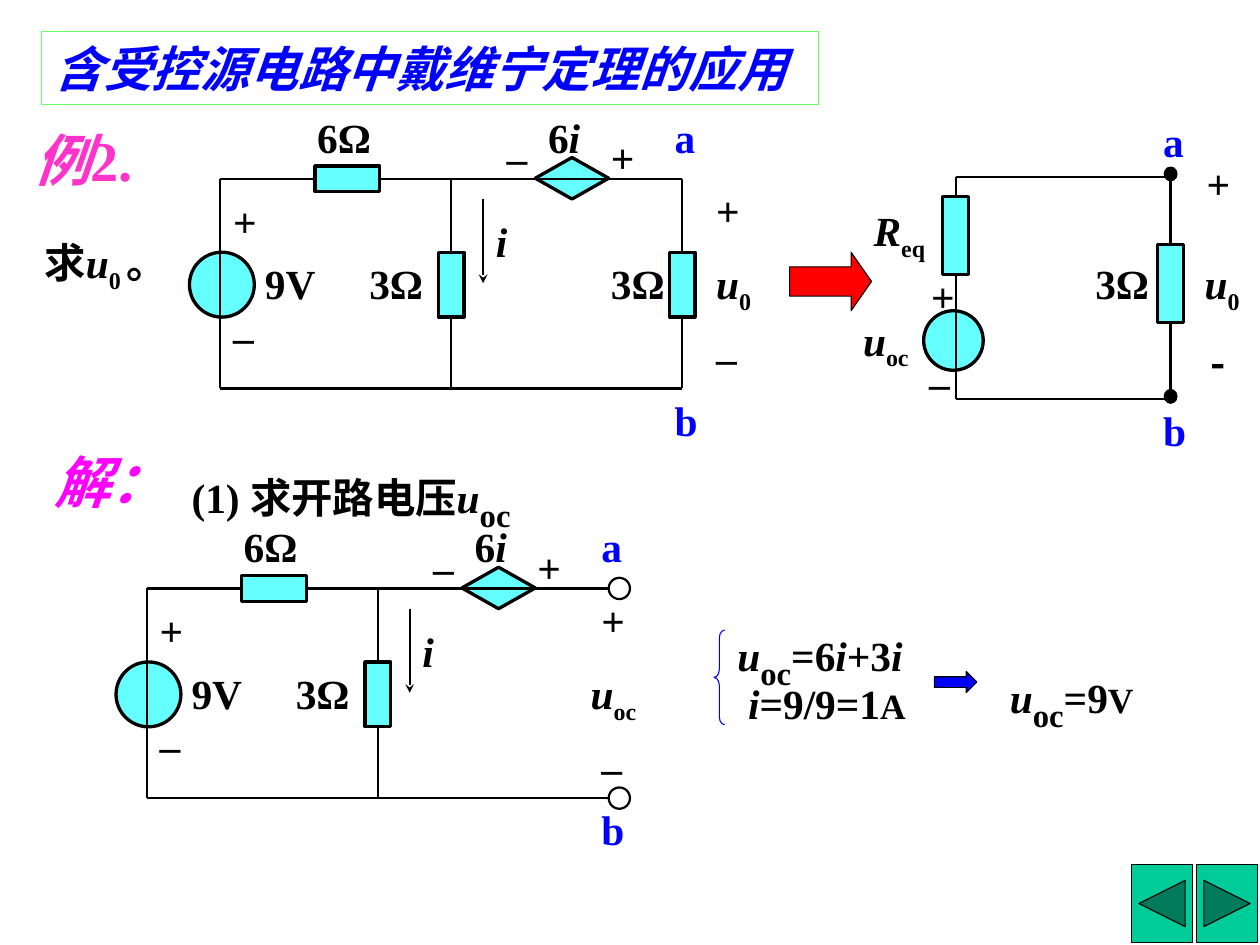
"""Build a slide on Thevenin's theorem for circuits with dependent sources."""
from dataclasses import dataclass
from typing import Optional

from lxml.etree import SubElement
from pptx import Presentation
from pptx.dml.color import RGBColor
from pptx.enum.shapes import MSO_CONNECTOR, MSO_SHAPE as SHAPE
from pptx.enum.text import MSO_ANCHOR, MSO_AUTO_SIZE, PP_ALIGN as ALIGN
from pptx.oxml.ns import qn
from pptx.text.text import TextFrame
from pptx.util import Emu, Pt

PX = 9144
BLACK = RGBColor(0x00, 0x00, 0x00)
BLUE = RGBColor(0x00, 0x00, 0xFF)
CYAN = RGBColor(0x66, 0xFF, 0xFF)
GREEN = RGBColor(0x66, 0xFF, 0x66)
TEAL = RGBColor(0x00, 0xCC, 0x99)
RED = RGBColor(0xFF, 0x00, 0x00)
PINK = RGBColor(0xFF, 0x33, 0xCC)
MAGENTA = RGBColor(0xFF, 0x00, 0xFF)
SERIF, HAN = "Times New Roman", "Noto Sans CJK SC"


@dataclass(frozen=True)
class Run:
    """A stretch of text with its own slant, position or size."""
    text: str
    italic: bool = False
    sub: bool = False
    size: Optional[int] = None


@dataclass(frozen=True)
class Label:
    """A text box of one paragraph."""
    x: int
    y: int
    w: int
    runs: tuple[Run, ...]
    color: RGBColor = BLACK
    size: int = 28
    h: int = 59
    font: str = SERIF
    align: ALIGN = ALIGN.LEFT


@dataclass(frozen=True)
class Figure:
    """A preset shape."""
    kind: SHAPE
    x: int
    y: int
    w: int
    h: int
    fill: Optional[RGBColor] = CYAN
    weight: float = 2.25
    line: RGBColor = BLACK
    adj: tuple[float, ...] = ()


@dataclass(frozen=True)
class Wire:
    """A straight line, with an arrowhead at its end if wanted."""
    x1: int
    y1: int
    x2: int
    y2: int
    arrow: bool = False


@dataclass(frozen=True)
class Circuit:
    """A group of figures, wires and labels, moved by dx and dy."""
    figures: list[Figure]
    wires: list[Wire]
    labels: list[Label]
    dx: int = 0
    dy: int = 0


def plain(text: str) -> tuple[Run, ...]:
    """Return upright text."""
    return (Run(text),)


def symbol(name: str, sub: str = "", size: Optional[int] = None) -> tuple[Run, ...]:
    """Return an italic quantity with an optional subscript."""
    return (Run(name, italic=True),) + ((Run(sub, sub=True, size=size),) if sub else ())


def px(*lengths: int) -> list[Emu]:
    """Turn px into EMU."""
    return [Emu(n * PX) for n in lengths]


def write(tf: TextFrame, label: Label) -> None:
    """Put the label's text into a text frame."""
    tf.word_wrap = True
    tf.auto_size = MSO_AUTO_SIZE.NONE
    tf.vertical_anchor = MSO_ANCHOR.TOP
    tf.margin_left, tf.margin_right, tf.margin_top, tf.margin_bottom = px(12, 12, 6, 6)
    p = tf.paragraphs[0]
    p.alignment = label.align
    p.font.name, p.font.size, p.font.bold = label.font, Pt(label.size), True
    p.font.color.rgb = label.color
    p.font.italic = slanted = all(run.italic for run in label.runs)
    SubElement(p._p.pPr.find(qn("a:defRPr")), qn("a:ea"), typeface=HAN)
    for run in label.runs:
        r = p.add_run()
        r.text = run.text
        if run.italic and not slanted:
            r.font.italic = True
        if run.size:
            r.font.size = Pt(run.size)
        if run.sub:
            r._r.get_or_add_rPr().set("baseline", "-25000")


def add_label(shapes, label: Label, dx: int = 0, dy: int = 0) -> None:
    """Add a text box."""
    write(shapes.add_textbox(*px(label.x + dx, label.y + dy, label.w, label.h)).text_frame, label)


def add_figure(shapes, figure: Figure, dx: int = 0, dy: int = 0):
    """Add a preset shape and return it."""
    sp = shapes.add_shape(figure.kind, *px(figure.x + dx, figure.y + dy, figure.w, figure.h))
    sp.shadow.inherit = False
    if figure.fill is None:
        sp.fill.background()
    else:
        sp.fill.solid()
        sp.fill.fore_color.rgb = figure.fill
    sp.line.color.rgb, sp.line.width = figure.line, Pt(figure.weight)
    for i, value in enumerate(figure.adj):
        sp.adjustments[i] = value
    return sp


def sides(figure: Figure) -> list[tuple[int, int]]:
    """Return the side midpoints in connection-site order."""
    x, y, w, h = figure.x, figure.y, figure.w, figure.h
    return [(x + w // 2, y), (x, y + h // 2), (x + w // 2, y + h), (x + w, y + h // 2)]


def add_circuit(shapes, circuit: Circuit) -> None:
    """Add a circuit as a group and join its wires to the resistors."""
    group = shapes.add_group_shape().shapes
    dx, dy = circuit.dx, circuit.dy
    sites = {}
    for figure in circuit.figures:
        sp = add_figure(group, figure, dx, dy)
        if figure.kind == SHAPE.RECTANGLE:
            sites.update({point: (sp, i) for i, point in enumerate(sides(figure))})
    for wire in circuit.wires:
        ends = px(wire.x1 + dx, wire.y1 + dy, wire.x2 + dx, wire.y2 + dy)
        cxn = group.add_connector(MSO_CONNECTOR.STRAIGHT, *ends)
        cxn.line.color.rgb, cxn.line.width = BLACK, Pt(1.5)
        if wire.arrow:
            SubElement(cxn.line._get_or_add_ln(), qn("a:tailEnd"), type="stealth")
        SubElement(cxn._element.spPr, qn("a:effectLst"))
        for point, join in (((wire.x1, wire.y1), cxn.begin_connect),
                            ((wire.x2, wire.y2), cxn.end_connect)):
            if point in sites:
                join(*sites[point])
    for label in circuit.labels:
        add_label(group, label, dx, dy)


RECT, OVAL = SHAPE.RECTANGLE, SHAPE.OVAL
SOURCE_FIGURES = [Figure(RECT, 296, 156, 61, 24), Figure(SHAPE.DIAMOND, 503, 148, 69, 39),
                  Figure(OVAL, 178, 237, 61, 61), Figure(RECT, 412, 237, 24, 61)]
SOURCE_WIRES = [Wire(207, 168, 296, 168), Wire(357, 168, 641, 168), Wire(207, 365, 641, 365),
                Wire(207, 365, 207, 168), Wire(424, 168, 424, 237), Wire(424, 298, 424, 365),
                Wire(454, 187, 454, 266, arrow=True)]
SOURCE_LABELS = [
    Label(335, 237, 89, plain("3Ω")), Label(286, 99, 79, plain("6Ω")),
    Label(454, 197, 59, symbol("i")), Label(207, 178, 39, plain("+")),
    Label(207, 286, 49, plain("–")), Label(237, 237, 79, plain("9V")),
    Label(562, 118, 49, plain("+")), Label(464, 118, 59, plain("–")),
    Label(503, 99, 89, plain("6") + symbol("i")),
    Label(622, 99, 59, plain("a"), BLUE), Label(622, 365, 39, plain("b"), BLUE)]

CIRCUITS = [
    Circuit(SOURCE_FIGURES + [Figure(RECT, 629, 237, 24, 61)],
            SOURCE_WIRES + [Wire(641, 168, 641, 237), Wire(641, 298, 641, 365)],
            SOURCE_LABELS + [Label(562, 237, 79, plain("3Ω")), Label(661, 168, 39, plain("+")),
                             Label(661, 306, 49, plain("–")), Label(661, 237, 79, symbol("u", "0"))]),
    Circuit([Figure(RECT, 886, 185, 24, 73), Figure(RECT, 1088, 230, 24, 73), Figure(OVAL, 868, 292, 56, 56)]
            + [Figure(OVAL, 1094, y, 12, 13, BLACK, 0.75) for y in (157, 366)],
            [Wire(898, 166, 898, 185), Wire(898, 258, 898, 375), Wire(898, 166, 1100, 166),
             Wire(898, 375, 1100, 375), Wire(1100, 166, 1100, 230), Wire(1100, 303, 1100, 375)],
            [Label(1081, 103, 61, plain("a"), BLUE), Label(1081, 375, 61, plain("b"), BLUE),
             Label(799, 290, 94, symbol("u", "oc")), Label(809, 187, 87, symbol("R", "eq")),
             Label(863, 249, 49, plain("+")), Label(861, 330, 62, plain("–")),
             Label(1014, 237, 81, plain("3Ω"), align=ALIGN.CENTER),
             Label(1105, 237, 87, symbol("u", "0"), align=ALIGN.CENTER),
             Label(1123, 311, 43, plain("-"), font=HAN, align=ALIGN.CENTER),
             Label(1122, 143, 46, plain("+"), align=ALIGN.CENTER)]),
    Circuit(SOURCE_FIGURES + [Figure(OVAL, 641, y, 20, 20, None, 1.5) for y in (158, 355)],
            SOURCE_WIRES,
            SOURCE_LABELS + [Label(622, 168, 39, plain("+")), Label(622, 306, 49, plain("–")),
                             Label(612, 237, 79, symbol("u", "oc"))], dx=-69, dy=385)]

TITLE = Label(39, 30, 730, symbol("含受控源电路中戴维宁定理的应用"), BLUE, 33, 68)
UOC = symbol("u", "oc", 38)
NOTES = [
    Label(30, 217, 187, plain("求") + symbol("u", "0 ") + plain("。")),
    Label(20, 112, 148, symbol("例") + plain("2."), PINK, 38, 75),
    Label(39, 414, 138, symbol("解："), MAGENTA, 38, 75),
    Label(168, 424, 365, plain("(1) 求开路电压") + UOC),
    Label(681, 572, 217, UOC + plain("=6") + symbol("i") + plain("+3") + symbol("i")),
    Label(691, 631, 207, symbol("i") + (Run("=9/9=1"), Run("A", size=24))),
    Label(937, 612, 158, UOC + (Run("=9"), Run("V", size=24)))]
MARKS = [
    Figure(SHAPE.ACTION_BUTTON_BACK_OR_PREVIOUS, 1063, 812, 58, 74, TEAL, 0.75),
    Figure(SHAPE.ACTION_BUTTON_FORWARD_OR_NEXT, 1124, 812, 58, 74, TEAL, 0.75),
    Figure(SHAPE.RIGHT_ARROW, 742, 237, 77, 55, RED, 0.75, adj=(0.5, 0.35)),
    Figure(SHAPE.LEFT_BRACE, 671, 592, 10, 89, None, 0.75, BLUE, (0.75, 0.5)),
    Figure(SHAPE.RIGHT_ARROW, 878, 631, 40, 20, BLUE, 0.75, adj=(0.5, 0.5))]


def main() -> None:
    """Build the slide and save it."""
    prs = Presentation()
    prs.slide_width, prs.slide_height = px(1184, 888)
    shapes = prs.slides.add_slide(prs.slide_layouts[5]).shapes
    title = shapes.title
    title.left, title.top, title.width, title.height = px(TITLE.x, TITLE.y, TITLE.w, TITLE.h)
    title.line.color.rgb, title.line.width = GREEN, Pt(0.75)
    write(title.text_frame, TITLE)
    for circuit in CIRCUITS:
        add_circuit(shapes, circuit)
    for mark in MARKS:
        add_figure(shapes, mark)
    for note in NOTES:
        add_label(shapes, note)
    prs.save("out.pptx")


if __name__ == "__main__":
    main()
